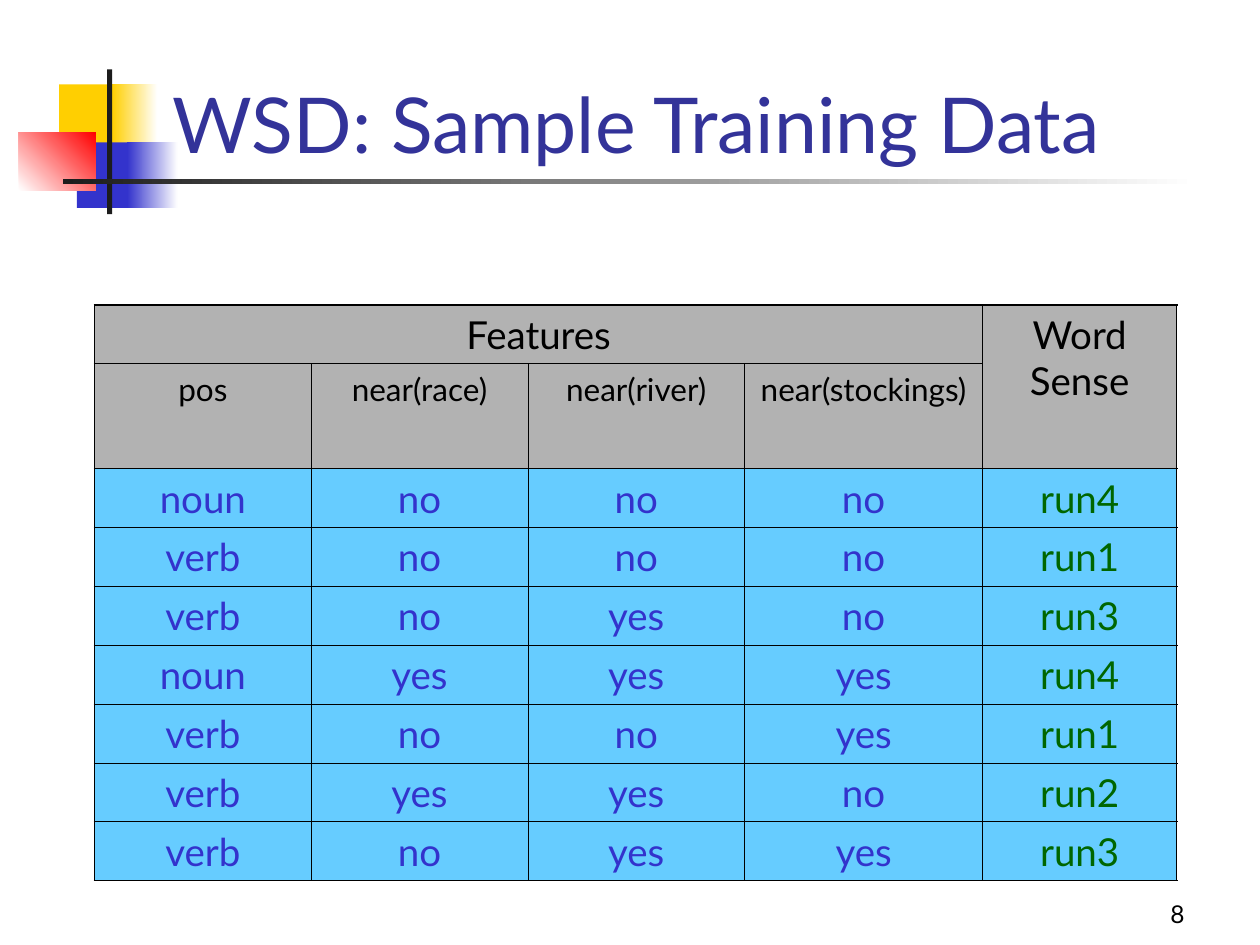
from lxml.etree import SubElement as Sub
from pptx import Presentation
from pptx.dml.color import RGBColor
from pptx.enum.shapes import MSO_SHAPE as Shape
from pptx.enum.text import MSO_ANCHOR as Anchor, PP_ALIGN as Align
from pptx.oxml.ns import qn
from pptx.util import Inches, Pt

FONT = "Lato"
BLACK = RGBColor(0x00, 0x00, 0x00)
WHITE = RGBColor(0xFF, 0xFF, 0xFF)
DARK = RGBColor(0x1C, 0x1C, 0x1C)
GOLD = RGBColor(0xFF, 0xCF, 0x01)
RED = RGBColor(0xFF, 0x00, 0x00)
BLUE = RGBColor(0x33, 0x33, 0xCC)
NAVY = RGBColor(0x33, 0x33, 0x99)
GREEN = RGBColor(0x00, 0x66, 0x00)
GRAY = RGBColor(0xB2, 0xB2, 0xB2)
SKY = RGBColor(0x66, 0xCC, 0xFF)

THIN, THICK = Pt(0.45), Pt(1.08)
WIDTHS = [1.72, 1.72, 1.72, 1.89, 1.54]
HEADS = [
    ["Features", "", "", "", "Word Sense"],
    ["pos", "near(race)", "near(river)", "near(stockings)", ""],
]
DATA = [
    ["noun", "no", "no", "no", "run4"],
    ["verb", "no", "no", "no", "run1"],
    ["verb", "no", "yes", "no", "run3"],
    ["noun", "yes", "yes", "yes", "run4"],
    ["verb", "no", "no", "yes", "run1"],
    ["verb", "yes", "yes", "no", "run2"],
    ["verb", "no", "yes", "yes", "run3"],
]


def add_block(slide, box, start, end=None, angle=0):
    """Add a plain rectangle, or one that fades from start to end."""
    block = slide.shapes.add_shape(Shape.RECTANGLE, *map(Inches, box))
    block.shadow.inherit = False
    block.line.fill.background()
    if end is None:
        block.fill.solid()
        block.fill.fore_color.rgb = start
    else:
        block.fill.gradient()
        block.fill.gradient_angle = angle
        for stop, color in zip(block.fill.gradient_stops, (start, end)):
            stop.color.rgb = color


def set_text(frame, text, size, color, align):
    para = frame.paragraphs[0]
    para.text = text
    para.alignment = align
    para.font.name = FONT
    para.font.size = Pt(size)
    para.font.color.rgb = color
    return para


def add_text(slide, box, text, size, color, align=Align.LEFT):
    frame = slide.shapes.add_textbox(*map(Inches, box)).text_frame
    frame.word_wrap = True
    frame.vertical_anchor = Anchor.BOTTOM
    set_text(frame, text, size, color, align)


def set_edges(cell, outer):
    """Draw all four borders, thick on the sides named in outer."""
    props = cell._tc.get_or_add_tcPr()
    for side in "LRTB":
        width = THICK if side in outer else THIN
        line = Sub(props, qn(f"a:ln{side}"), w=str(width))
        fill = Sub(line, qn("a:solidFill"))
        Sub(fill, qn("a:srgbClr"), val=str(BLACK))


def fill_cell(cell, text, size, color, back, outer):
    set_edges(cell, outer)
    cell.fill.solid()
    cell.fill.fore_color.rgb = back
    para = set_text(cell.text_frame, text, size, color, Align.CENTER)
    para.space_before = Pt(size / 4)


def add_grid(slide):
    rows = HEADS + DATA
    last_row, last_col = len(rows) - 1, len(WIDTHS) - 1
    table = slide.shapes.add_table(
        len(rows), len(WIDTHS), Inches(0.75), Inches(2.42),
        Inches(sum(WIDTHS)), Inches(4.57)).table
    table.first_row = table.horz_banding = False
    for col, width in zip(table.columns, WIDTHS):
        col.width = Inches(width)

    for r, texts in enumerate(rows):
        table.rows[r].height = Inches(0.83 if r == 1 else 0.44)
        head = r < len(HEADS)
        for c, text in enumerate(texts):
            outer = [side for side, edge in (
                ("L", c == 0), ("R", c == last_col),
                ("T", r == 0), ("B", r == last_row)) if edge]
            ink = BLACK if head else GREEN if c == last_col else BLUE
            fill_cell(table.cell(r, c), text, 18 if r == 1 else 22, ink,
                      GRAY if head else SKY, outer)

    # Spanning heads
    table.cell(0, 0).merge(table.cell(0, last_col - 1))
    table.cell(0, last_col).merge(table.cell(1, last_col))


def main():
    deck = Presentation()
    deck.slide_width, deck.slide_height = Inches(10), Inches(7.5)
    slide = deck.slides.add_slide(deck.slide_layouts[6])

    # Corner ornament and title rule
    add_block(slide, (0.47, 0.67, 0.48, 0.52), GOLD)
    add_block(slide, (0.89, 0.67, 0.36, 0.52), GOLD, WHITE)
    add_block(slide, (0.61, 1.13, 0.46, 0.52), BLUE)
    add_block(slide, (1.01, 1.13, 0.4, 0.52), BLUE, WHITE)
    add_block(slide, (0.15, 1.05, 0.61, 0.46), WHITE, RED, 45)
    add_block(slide, (0.85, 0.55, 0.04, 1.15), DARK)
    add_block(slide, (0.5, 1.42, 9, 0.04), DARK, WHITE)

    # Page number and title
    add_text(slide, (7.42, 6.92, 2.08, 0.5), "8", 14, BLACK, Align.RIGHT)
    add_text(slide, (1.27, 0.14, 8.52, 1.25), "WSD: Sample Training Data",
             44, NAVY)

    # Training data
    add_grid(slide)
    deck.save("out.pptx")


if __name__ == "__main__":
    main()
